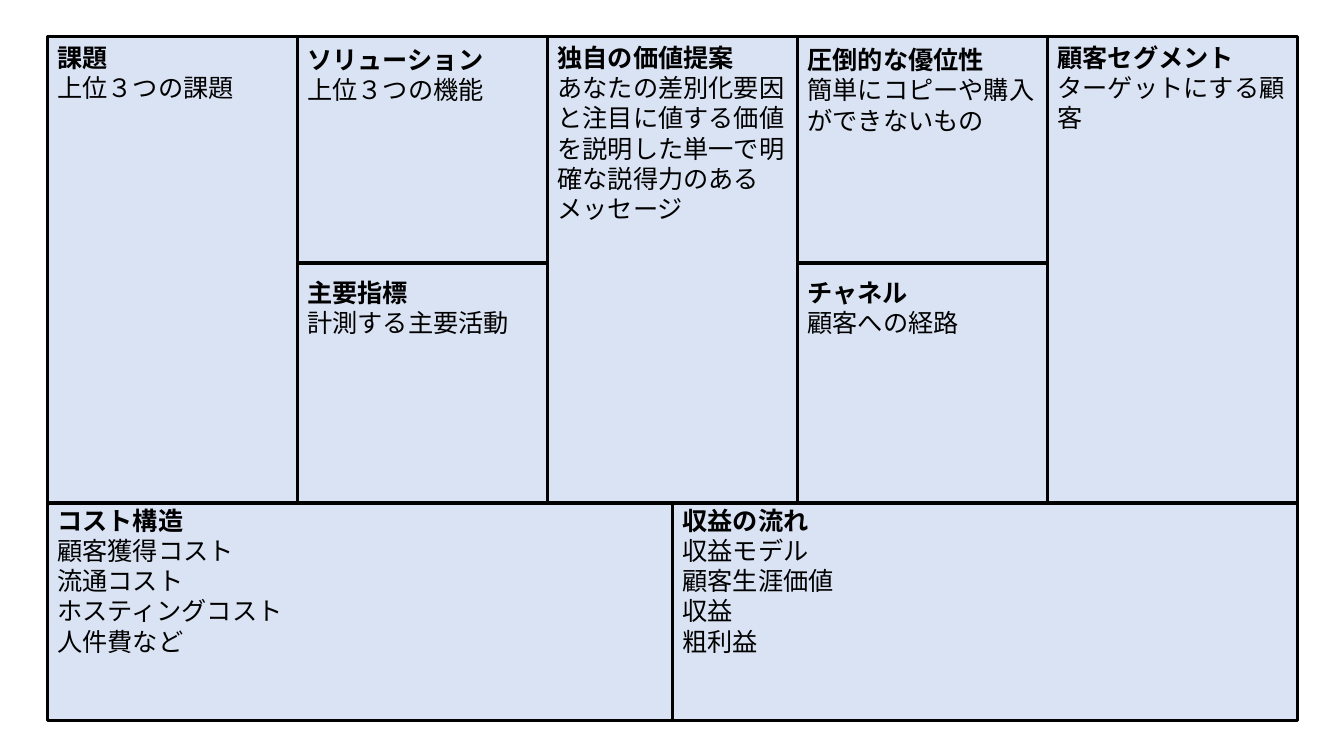
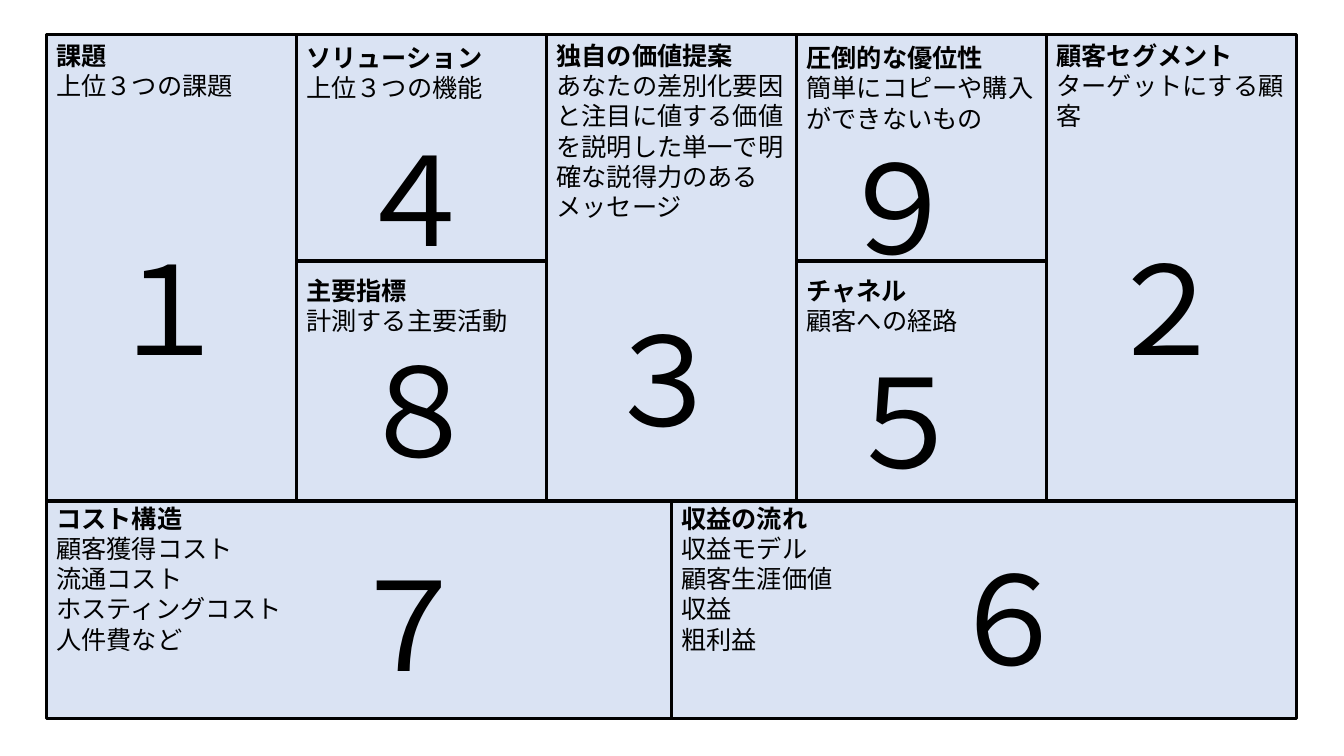
"""Build a lean canvas slide and the same canvas with its filling order."""
from dataclasses import dataclass

import pptx
import pptx.dml.color
import pptx.enum.lang
import pptx.enum.shapes
import pptx.enum.text
import pptx.oxml
import pptx.oxml.ns
import pptx.slide
import pptx.text.text
import pptx.util

Inches = pptx.util.Inches
Pt = pptx.util.Pt

PALE_BLUE = pptx.dml.color.RGBColor(0xDA, 0xE3, 0xF3)
BLACK = pptx.dml.color.RGBColor(0x00, 0x00, 0x00)
FONT = "Noto Sans CJK JP"
LINE_RATIO = 1.2

COLUMN = 2.48
HALF = 2.5 * COLUMN
UPPER = 2.25
LOWER = 2.38
TALL = UPPER + LOWER
BOTTOM = 2.16


@dataclass(frozen=True)
class Section:
    left: float
    top: float
    width: float
    height: float
    text_top: float
    heading: str
    details: tuple[str, ...]


@dataclass(frozen=True)
class Step:
    digit: str
    left: float
    top: float


SECTIONS = (
    Section(0, 0, COLUMN, TALL, 0.06, "課題", ("上位３つの課題",)),
    Section(COLUMN, 0, COLUMN, UPPER, 0.08, "ソリューション", ("上位３つの機能",)),
    Section(2 * COLUMN, 0, COLUMN, TALL, 0.06, "独自の価値提案",
            ("あなたの差別化要因と注目に値する価値を説明した単一で明確な説得力のあるメッセージ",)),
    Section(4 * COLUMN, 0, COLUMN, TALL, 0.06, "顧客セグメント", ("ターゲットにする顧客",)),
    Section(COLUMN, UPPER, COLUMN, LOWER, 0.14, "主要指標", ("計測する主要活動",)),
    Section(3 * COLUMN, 0, COLUMN, UPPER, 0.08, "圧倒的な優位性",
            ("簡単にコピーや購入ができないもの",)),
    Section(3 * COLUMN, UPPER, COLUMN, LOWER, 0.14, "チャネル", ("顧客への経路",)),
    Section(0, TALL, HALF, BOTTOM, 0.02, "コスト構造",
            ("顧客獲得コスト", "流通コスト", "ホスティングコスト", "人件費など")),
    Section(HALF, TALL, HALF, BOTTOM, 0.02, "収益の流れ",
            ("収益モデル", "顧客生涯価値", "収益", "粗利益")),
)

STEPS = (
    Step("１", 0.97, 2.26),
    Step("２", 10.86, 2.26),
    Step("３", 5.88, 2.96),
    Step("４", 3.41, 1.17),
    Step("５", 8.27, 3.38),
    Step("６", 9.3, 5.33),
    Step("７", 3.35, 5.39),
    Step("８", 3.45, 3.27),
    Step("９", 8.2, 1.25),
)


def style_paragraph(paragraph: pptx.text.text._Paragraph, size: float,
                    bold: bool = False) -> None:
    paragraph.alignment = pptx.enum.text.PP_ALIGN.LEFT
    paragraph.line_spacing = Pt(LINE_RATIO * size)
    font = paragraph.font
    font.name = FONT
    font.size = Pt(size)
    font.bold = bold
    font.color.rgb = BLACK
    font.language_id = pptx.enum.lang.MSO_LANGUAGE_ID.JAPANESE
    properties = paragraph._p.pPr.find(pptx.oxml.ns.qn("a:defRPr"))
    east_asian = pptx.oxml.parse_xml(
        f'<a:ea {pptx.oxml.ns.nsdecls("a")} typeface="{FONT}"/>')
    properties.find(pptx.oxml.ns.qn("a:latin")).addnext(east_asian)


def draw_canvas(slide: pptx.slide.Slide, left: float, top: float) -> None:
    canvas = slide.shapes.add_group_shape()
    for section in SECTIONS:
        box = canvas.shapes.add_shape(
            pptx.enum.shapes.MSO_SHAPE.RECTANGLE,
            Inches(left + section.left), Inches(top + section.top),
            Inches(section.width), Inches(section.height))
        box.shadow.inherit = False
        box.fill.solid()
        box.fill.fore_color.rgb = PALE_BLUE
        box.line.color.rgb = BLACK
        box.line.width = Pt(2.25)
        frame = box.text_frame
        frame.word_wrap = True
        frame.vertical_anchor = pptx.enum.text.MSO_ANCHOR.TOP
        frame.margin_top = Inches(section.text_top)
        frame.text = "\n".join((section.heading, *section.details))
        for index, paragraph in enumerate(frame.paragraphs):
            style_paragraph(paragraph, 18, bold=index == 0)


def draw_step(slide: pptx.slide.Slide, step: Step) -> None:
    number = slide.shapes.add_textbox(
        Inches(step.left), Inches(step.top), Inches(1.55), Inches(1.58))
    number.text_frame.word_wrap = True
    number.text_frame.text = step.digit
    style_paragraph(number.text_frame.paragraphs[0], 88)


def main() -> None:
    deck = pptx.Presentation()
    deck.slide_width = Inches(13.33)
    deck.slide_height = Inches(7.5)
    blank = deck.slide_layouts[6]

    draw_canvas(deck.slides.add_slide(blank), 0.47, 0.36)

    order = deck.slides.add_slide(blank)
    draw_canvas(order, 0.46, 0.34)
    for step in STEPS:
        draw_step(order, step)

    deck.save("out.pptx")


main()
